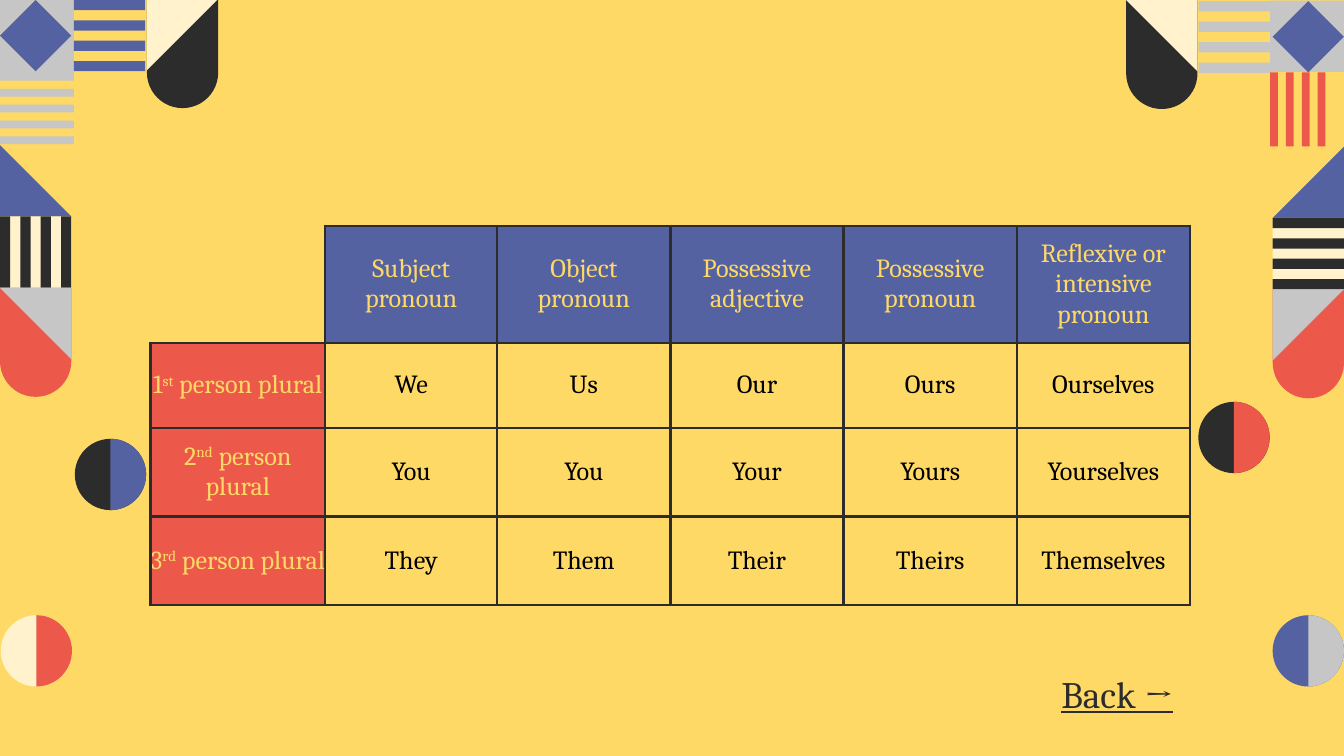
import math

from lxml import etree
from pptx import Presentation
from pptx.dml.color import RGBColor
from pptx.enum.shapes import MSO_SHAPE
from pptx.enum.text import MSO_ANCHOR, PP_ALIGN
from pptx.oxml.ns import qn
from pptx.util import Pt

RECTANGLE, DIAMOND, OVAL = MSO_SHAPE.RECTANGLE, MSO_SHAPE.DIAMOND, MSO_SHAPE.OVAL
PILL = MSO_SHAPE.ROUND_2_SAME_RECTANGLE
MIDDLE = MSO_ANCHOR.MIDDLE
CENTER, RIGHT = PP_ALIGN.CENTER, PP_ALIGN.RIGHT

COLORS = {
    "yellow": "FFD966", "blue": "5562A2", "red": "EC594B", "dark": "2C2C2C",
    "gray": "C6C6C6", "cream": "FFF2CC", "black": "000000",
}
FONT = "Cambria"
TILE = 38.2
PILL_HEIGHT = 58.4
BORDER = 1.5

HEADERS = ["Subject pronoun", "Object pronoun", "Possessive adjective",
           "Possessive pronoun", "Reflexive or intensive pronoun"]
PERSONS = [
    ("1", "st", ["We", "Us", "Our", "Ours", "Ourselves"]),
    ("2", "nd", ["You", "You", "Your", "Yours", "Yourselves"]),
    ("3", "rd", ["They", "Them", "Their", "Theirs", "Themselves"]),
]
COLUMN_WIDTHS = [93.6, 92.2] + [92.8] * 4
ROW_HEIGHTS = [62.6, 45.5, 47.5, 47.5]


def rgb(color):
    return RGBColor.from_string(COLORS[color])


def paint(shape, color):
    shape.shadow.inherit = False
    shape.fill.solid()
    shape.fill.fore_color.rgb = rgb(color)
    shape.line.fill.background()


def add_preset(page, kind, left, top, width, height, color):
    shape = page.shapes.add_shape(kind, Pt(left), Pt(top), Pt(width), Pt(height))
    paint(shape, color)
    return shape


def add_polygon(page, points, color):
    corners = [(Pt(x), Pt(y)) for x, y in points]
    builder = page.shapes.build_freeform(*corners[0], scale=1.0)
    builder.add_line_segments(corners[1:], close=True)
    paint(builder.convert_to_shape(), color)


def add_triangle(page, left, top, missing, color):
    corners = {
        "top left": (left, top),
        "top right": (left + TILE, top),
        "bottom right": (left + TILE, top + TILE),
        "bottom left": (left, top + TILE),
    }
    add_polygon(page, [point for name, point in corners.items() if name != missing], color)


def add_disc(page, left, top, left_color, right_color):
    add_preset(page, OVAL, left, top, TILE, TILE, left_color)
    radius = TILE / 2
    angles = [math.radians(degree) for degree in range(-90, 91, 5)]
    half = [(left + radius * (1 + math.cos(angle)), top + radius * (1 + math.sin(angle)))
            for angle in angles]
    add_polygon(page, half, right_color)


def add_pill(page, left, top, color, missing, corner_color):
    pill = add_preset(page, PILL, left, top, TILE, PILL_HEIGHT, color)
    pill.adjustments[0] = 0.5
    pill.rotation = 180
    add_triangle(page, left, top, missing, corner_color)


def add_stripes(page, left, top, width, height, count, step, color, vertical=False):
    for index in range(count):
        shift = index * step
        x, y = (left + shift, top) if vertical else (left, top + shift)
        add_preset(page, RECTANGLE, x, y, width, height, color)


def add_left_pattern(page):
    add_preset(page, RECTANGLE, 0, 0, 39.6, 39.6, "gray")
    add_preset(page, DIAMOND, 0, 0, TILE, TILE, "blue")
    add_stripes(page, 39.6, 0, TILE, 5.5, 4, 10.9, "blue")
    add_stripes(page, 0, 39.1, 39.6, 4.2, 5, 8.5, "gray")
    add_pill(page, 78.7, -0.5, "dark", "bottom right", "cream")
    add_triangle(page, 0, 77.8, "top right", "blue")
    add_preset(page, RECTANGLE, 0, 116, TILE, TILE, "cream")
    add_stripes(page, 0, 116, 5.5, TILE, 4, 10.9, "dark", vertical=True)
    add_pill(page, 0, 154.2, "red", "bottom left", "gray")
    add_disc(page, 40.1, 235.1, "dark", "blue")
    add_disc(page, 0.4, 329.6, "cream", "red")


def add_right_pattern(page):
    add_preset(page, RECTANGLE, 680.4, 0.4, 39.6, TILE, "gray")
    add_preset(page, DIAMOND, 681.8, 0.6, TILE, TILE, "blue")
    add_stripes(page, 642.2, 0.6, TILE, 5.5, 4, 11, "gray")
    add_stripes(page, 680.4, 38.8, 4.2, 39.6, 4, 8.5, "red", vertical=True)
    add_pill(page, 603.3, 0, "dark", "bottom left", "cream")
    add_triangle(page, 681.8, 78.6, "top left", "blue")
    add_preset(page, RECTANGLE, 681.8, 116.8, TILE, TILE, "cream")
    add_stripes(page, 681.8, 116.8, TILE, 5.5, 4, 10.9, "dark")
    add_pill(page, 681.8, 155, "red", "bottom right", "gray")
    add_disc(page, 642, 215.3, "dark", "red")
    add_disc(page, 681.8, 329.6, "blue", "gray")


def add_span(para, text, color, size=14, raised=False, underline=False):
    span = para.add_run()
    span.text = text
    formats = {"name": FONT, "size": Pt(size), "bold": False, "underline": underline}
    for name, value in formats.items():
        setattr(span.font, name, value)
    span.font.color.rgb = rgb(color)
    if raised:
        span._r.get_or_add_rPr().set("baseline", "30000")


def set_borders(cell, visible="LRTB"):
    properties = cell._tc.get_or_add_tcPr()
    for side in "LRTB":
        line = etree.SubElement(properties, qn(f"a:ln{side}"), w=str(Pt(BORDER)))
        if side in visible:
            fill = etree.SubElement(line, qn("a:solidFill"))
            etree.SubElement(fill, qn("a:srgbClr"), val=COLORS["dark"])
        else:
            etree.SubElement(line, qn("a:noFill"))


def fill_cell(cell, spans, color, fill=None, side_margin=7.2, end_margin=7.2):
    formats = {
        "vertical_anchor": MIDDLE,
        "margin_left": Pt(side_margin), "margin_right": Pt(side_margin),
        "margin_top": Pt(end_margin), "margin_bottom": Pt(end_margin),
    }
    for name, value in formats.items():
        setattr(cell, name, value)
    set_borders(cell)
    if fill:
        cell.fill.solid()
        cell.fill.fore_color.rgb = rgb(fill)
    else:
        cell.fill.background()
    para = cell.text_frame.paragraphs[0]
    para.alignment = CENTER
    for text, raised in spans:
        add_span(para, text, color, raised=raised)


def add_pronoun_table(page):
    frame = page.shapes.add_table(len(ROW_HEIGHTS), len(COLUMN_WIDTHS), Pt(80.6), Pt(121),
                                  Pt(sum(COLUMN_WIDTHS)), Pt(sum(ROW_HEIGHTS)))
    table = frame.table
    table.first_row = table.horz_banding = False
    for column, width in zip(table.columns, COLUMN_WIDTHS):
        column.width = Pt(width)
    for row, height in zip(table.rows, ROW_HEIGHTS):
        row.height = Pt(height)

    corner = table.cell(0, 0)
    set_borders(corner, visible="RB")
    corner.fill.background()
    for column, header in enumerate(HEADERS, 1):
        fill_cell(table.cell(0, column), [(header, False)], "yellow", "blue")
    for row, (number, suffix, pronouns) in enumerate(PERSONS, 1):
        label = [(number, False), (suffix, True), (" person plural", False)]
        fill_cell(table.cell(row, 0), label, "yellow", "red", side_margin=0, end_margin=2.9)
        for column, pronoun in enumerate(pronouns, 1):
            fill_cell(table.cell(row, column), [(pronoun, False)], "black")


def add_back_label(page):
    box = page.shapes.add_textbox(Pt(544.3), Pt(352.1), Pt(91.4), Pt(35.3))
    frame = box.text_frame
    formats = {"word_wrap": True, "margin_left": Pt(7.2), "margin_right": Pt(7.2),
               "margin_top": Pt(7.2), "margin_bottom": Pt(7.2)}
    for name, value in formats.items():
        setattr(frame, name, value)
    para = frame.paragraphs[0]
    para.alignment = RIGHT
    add_span(para, "Back →", "dark", size=20, underline=True)


def main():
    deck = Presentation()
    deck.slide_width, deck.slide_height = Pt(720), Pt(405)
    page = deck.slides.add_slide(deck.slide_layouts[6])
    page.background.fill.solid()
    page.background.fill.fore_color.rgb = rgb("yellow")
    add_right_pattern(page)
    add_left_pattern(page)
    add_pronoun_table(page)
    add_back_label(page)
    deck.save("out.pptx")


if __name__ == "__main__":
    main()
